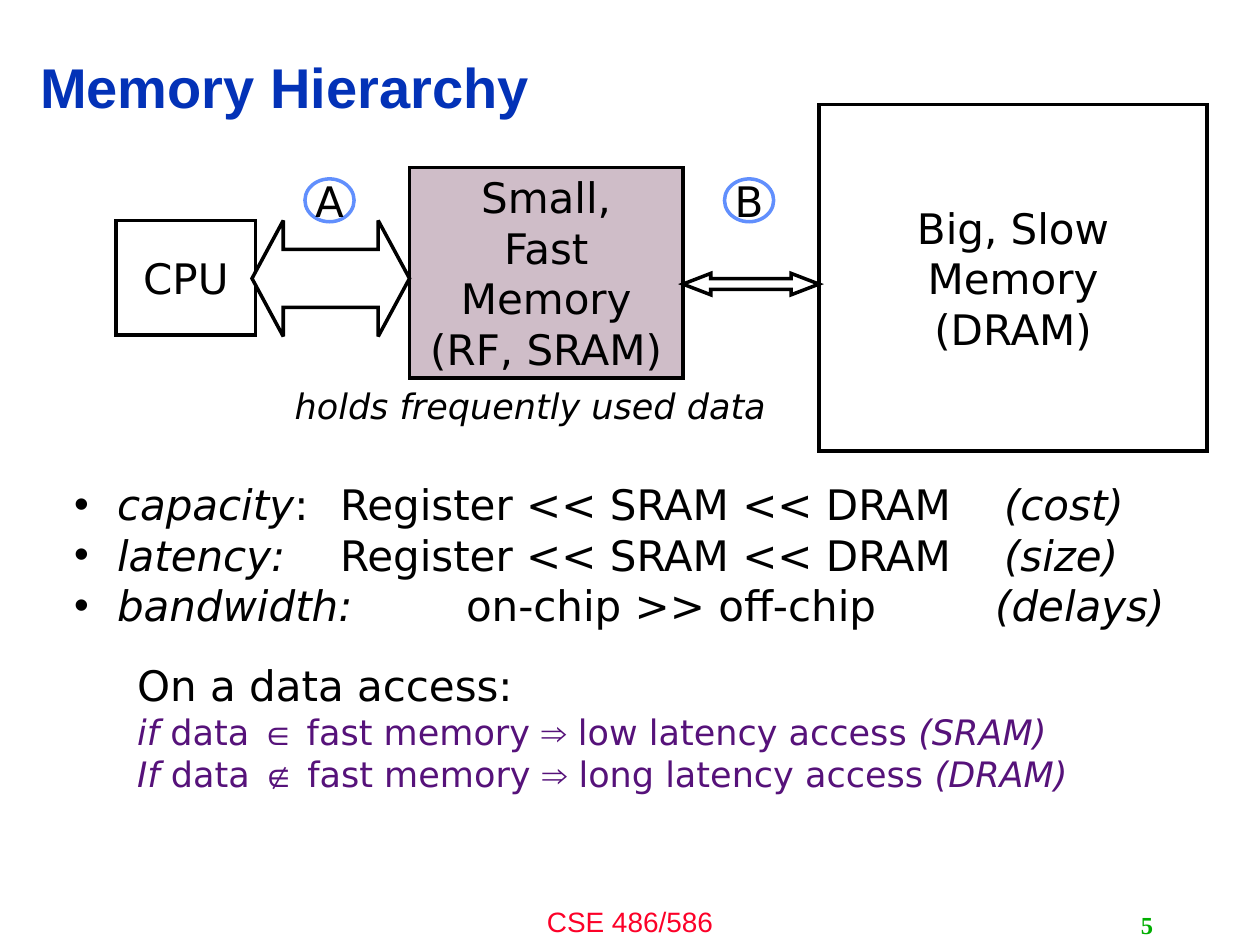
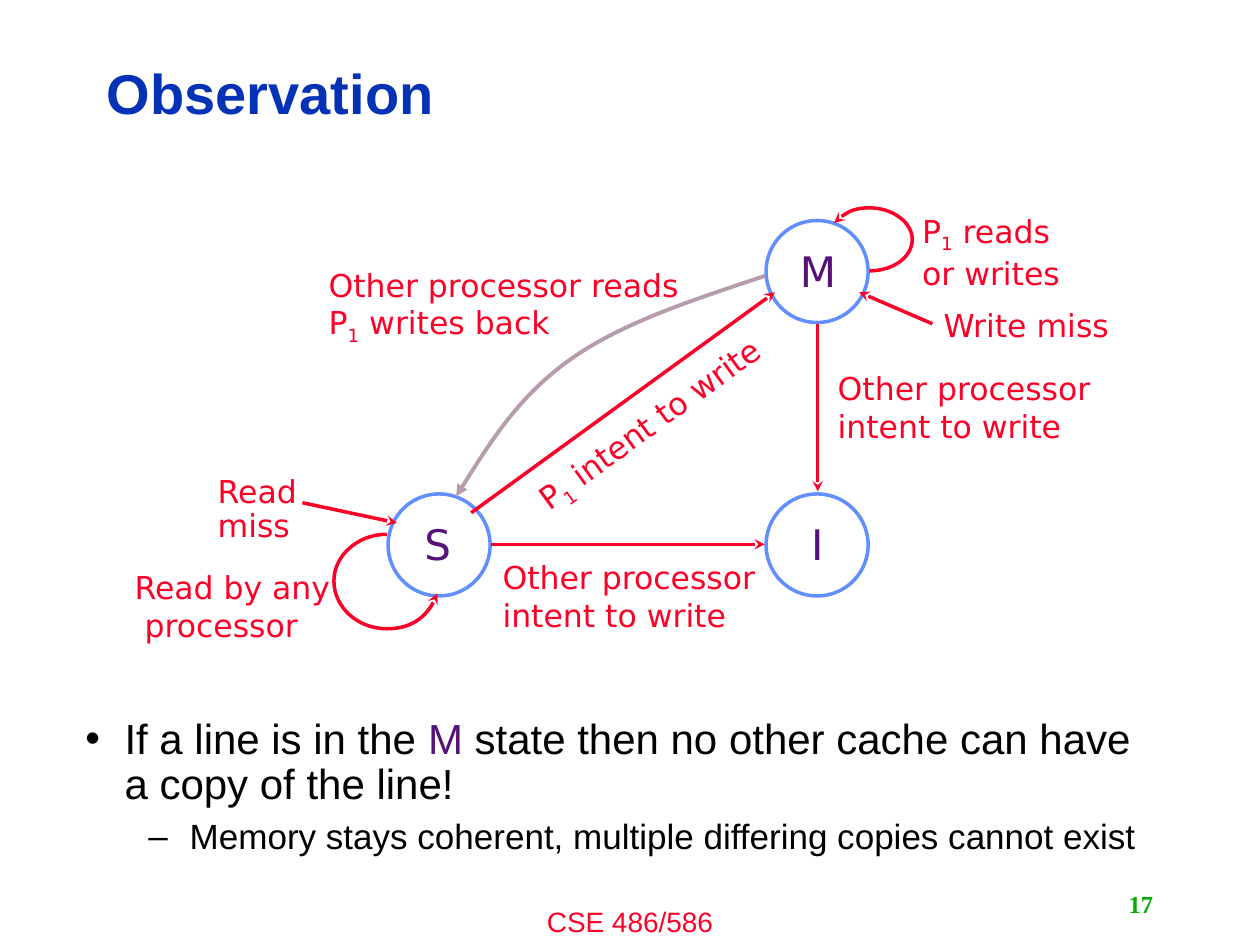
from lxml import etree
from pptx import Presentation
from pptx.dml import color
from pptx.enum import shapes, text
from pptx.oxml import ns
from pptx.util import Inches, Pt

BLACK, WHITE, RED, BLUE = "000000", "FFFFFF", "FC0128", "0332B7"
PURPLE, MAUVE, SKY, GREEN = "56127A", "B69CAC", "618FFD", "00AE00"
SANS, ARIAL, TIMES = "DejaVu Sans", "Arial", "Times New Roman"
LEFT, MID, RIGHT = text.PP_ALIGN.LEFT, text.PP_ALIGN.CENTER, text.PP_ALIGN.RIGHT
KIND = shapes.MSO_SHAPE
ITAL, ROMAN, SUB = {"italic": True}, {"font": ARIAL}, {"base": -25}


def rgb(code):
    return color.RGBColor.from_string(code)


def node(parent, tag, **attrs):
    return etree.SubElement(parent, ns.qn(tag), **attrs)


def write(frame, runs, size=24, font=SANS, ink=BLACK, bold=False, italic=False,
          base=0, align=LEFT, lines=None, before=0, bullet=None, left=0, hang=0, tabs=()):
    """Add one paragraph, given as a string or a list of strings and (string, format) pairs."""
    first = frame.paragraphs[0]
    para = frame.add_paragraph() if first.runs else first
    para.alignment = align
    props = para._p.get_or_add_pPr()
    props.set("marL", str(Inches(left)))
    props.set("indent", str(Inches(hang)))
    if lines:
        para.line_spacing = lines
    if before:
        para.space_before = Pt(before)
    if bullet:
        node(props, "a:buFont", typeface=ARIAL)
        node(props, "a:buChar", char=bullet)
    if tabs:
        stops = node(props, "a:tabLst")
        for stop in tabs:
            node(stops, "a:tab", pos=str(Inches(stop)), algn="l")
    for item in [runs] if isinstance(runs, str) else runs:
        words, extra = (item, {}) if isinstance(item, str) else item
        look = {"size": size, "font": font, "ink": ink, "bold": bold,
                "italic": italic, "base": base, **extra}
        run = para.add_run()
        run.text = words
        run.font.size = Pt(look["size"])
        run.font.name = look["font"]
        run.font.bold = look["bold"]
        run.font.italic = look["italic"]
        run.font.color.rgb = rgb(look["ink"])
        if look["base"]:
            run._r.get_or_add_rPr().set("baseline", str(look["base"] * 1000))


class Deck:
    """Hold the shared style and the current slide."""

    def __init__(self):
        self.show = Presentation()
        self.show.slide_width, self.show.slide_height = Inches(10), Inches(7.5)

    def page(self, title, spot, number, top):
        self.slide = self.show.slides.add_slide(self.show.slide_layouts[6])
        self.label((3.33, 7.13, 3.34, 0.37), "CSE 486/586", wrap=True,
                   size=16, font=ARIAL, ink=RED, align=MID)
        self.label((7.17, top, 2.08, 0.32), number, wrap=True, middle=True,
                   size=14, font=TIMES, ink=GREEN, bold=True, align=RIGHT)
        self.label(spot, title, wrap=True, middle=True,
                   size=32, font=ARIAL, ink=BLUE, bold=True, lines=0.9)

    def label(self, spot, *paras, wrap=False, middle=False, turn=0, **look):
        box = self.slide.shapes.add_textbox(*map(Inches, spot))
        box.rotation = turn
        frame = box.text_frame
        frame.word_wrap = wrap
        if not wrap:
            frame.auto_size = text.MSO_AUTO_SIZE.SHAPE_TO_FIT_TEXT
        if middle:
            frame.vertical_anchor = text.MSO_ANCHOR.MIDDLE
        for para in paras:
            write(frame, para, **look)
        return frame

    def note(self, spot, *paras, **look):
        self.label(spot, *paras, size=18, ink=RED, **look)

    def block(self, kind, spot, *paras, fill=WHITE, edge=BLACK, wrap=True, adjust=()):
        shape = self.slide.shapes.add_shape(kind, *map(Inches, spot))
        shape.shadow.inherit = False
        shape.fill.solid()
        shape.fill.fore_color.rgb = rgb(fill)
        self.stroke(shape, edge)
        for i, value in enumerate(adjust):
            shape.adjustments[i] = value
        frame = shape.text_frame
        frame.word_wrap = wrap
        frame.vertical_anchor = text.MSO_ANCHOR.MIDDLE
        for para in paras:
            write(frame, para, align=MID)

    def stroke(self, shape, ink, width=2, **tips):
        shape.line.color.rgb = rgb(ink)
        shape.line.width = Pt(width)
        line = shape.line._get_or_add_ln()
        node(line, "a:miter", lim="800000")
        for tag, tip in tips.items():
            node(line, f"a:{tag}End", type=tip)

    def arrow(self, *ends):
        line = self.slide.shapes.add_connector(
            shapes.MSO_CONNECTOR.STRAIGHT, *map(Inches, ends))
        self.stroke(line, RED, tail="stealth")
        node(line._element.spPr, "a:effectLst")

    def bend(self, *points, ink=RED, width=2, tip="stealth"):
        """Draw cubic arcs through a start and three points for each arc."""
        spots = [(Inches(x), Inches(y)) for x, y in points]
        pen = self.slide.shapes.build_freeform(*spots[0])
        pen.add_line_segments(spots[1:], close=False)
        shape = pen.convert_to_shape()
        route = next(shape._element.iter(ns.qn("a:path")))
        legs = route.findall(ns.qn("a:lnTo"))
        for i in range(0, len(legs), 3):
            arc = node(route, "a:cubicBezTo")
            for leg in legs[i:i + 3]:
                arc.append(leg[0])
                route.remove(leg)
        shape.shadow.inherit = False
        shape.fill.background()
        self.stroke(shape, ink, width, head=tip)


def memory(deck):
    deck.page("Memory Hierarchy", (0.22, 0.22, 7.83, 1), "5", 7.18)
    deck.block(KIND.RECTANGLE, (3.25, 1.33, 2.17, 1.67),
               "Small,", "Fast Memory", "(RF, SRAM)", fill="CFBDC8")
    frame = deck.label((0.49, 3.75, 9.19, 2.62), wrap=True)
    order = "Register << SRAM << DRAM"
    for term, colon, rule, why, tabs in (
            ("capacity", ":", order, "(cost)", (0.34, 2.11, 7.38)),
            ("latency:", "", order, "(size)", (0.34, 2.11, 7.38)),
            ("bandwidth:", "", "on-chip >> off-chip", "(delays)", (0.34, 3.11, 7.31))):
        write(frame, [(f"\t{term}", ITAL), f"{colon}\t{rule}\t", (why, ITAL)],
              bullet="•", tabs=tabs)
    write(frame, "On a data access:", before=17, left=0.5)
    for word, sign, speed, kind in (("if", "∈", "low", "SRAM"), ("If", "∉", "long", "DRAM")):
        write(frame, [(f"{word} ", ITAL), "data ", (sign, ROMAN), " fast memory ",
                      ("⇒", ROMAN), f" {speed} latency access ", (f"({kind})", ITAL)],
              size=20, ink=PURPLE, left=0.5)

    deck.block(KIND.RECTANGLE, (0.92, 1.75, 1.11, 0.91), "CPU", wrap=False)
    deck.block(KIND.RECTANGLE, (6.5, 0.83, 3.08, 2.75), "Big, Slow Memory", "(DRAM)")
    for x, name in ((2.42, "A"), (5.75, "B")):
        deck.block(KIND.OVAL, (x, 1.42, 0.39, 0.34), name, edge=SKY, wrap=False)
    deck.label((1.92, 3, 4.58, 0.43), "holds frequently used data",
               wrap=True, size=20, italic=True, align=MID)
    for spot, head in (((5.42, 2.17, 1.08, 0.17), 1.3), ((2, 1.75, 1.25, 0.92), 0.27)):
        deck.block(KIND.LEFT_RIGHT_ARROW, spot, adjust=(0.5, head))


def states(deck):
    deck.page("Observation", (0.75, 0.36, 7.98, 0.81), "17", 7.01)
    frame = deck.label((0.58, 5.65, 8.75, 1.69), wrap=True)
    write(frame, ["If a line is in the ", ("M", {"ink": PURPLE}),
                  " state then no other cache can have a copy of the line!"],
          font=ARIAL, lines=0.9, bullet="•", left=0.31, hang=-0.31)
    write(frame, " Memory stays coherent, multiple differing copies cannot exist",
          size=20, font=ARIAL, lines=0.9, before=6, bullet="–", left=0.75, hang=-0.25)

    for x, y, name, inset, width in ((6.08, 1.75, "M", 0.17, 0.48),
                                     (3.08, 3.92, "S", 0.19, 0.43),
                                     (6.08, 3.92, "I", 0.26, 0.34)):
        deck.block(KIND.OVAL, (x, y, 0.81, 0.81), edge=SKY)
        deck.label((x + inset, y + 0.15, width, 0.5), name, ink=PURPLE)
    for ends in ((7.4, 2.57, 6.82, 2.32), (6.49, 2.57, 6.49, 3.9), (2.4, 3.99, 3.15, 4.15),
                 (3.74, 4.07, 6.15, 2.32), (3.9, 4.32, 6.07, 4.32)):
        deck.arrow(*ends)
    deck.bend((3.47, 4.71), (3.42, 4.87), (3.26, 4.99), (3.07, 4.99),
              (2.84, 4.99), (2.65, 4.82), (2.65, 4.61),
              (2.65, 4.41), (2.84, 4.24), (3.07, 4.24))
    deck.bend((6.62, 1.77), (6.68, 1.7), (6.79, 1.65), (6.9, 1.65),
              (7.09, 1.65), (7.24, 1.77), (7.24, 1.9),
              (7.24, 2.04), (7.09, 2.15), (6.9, 2.15))
    deck.bend((3.62, 3.94), (3.87, 3.54), (4.12, 3.14), (4.53, 2.85),
              (4.94, 2.56), (5.5, 2.38), (6.07, 2.19),
              ink=MAUVE, width=2.25, tip="triangle")

    first = ["P", ("1", SUB)]
    deck.note((7.39, 2.38, 1.53, 0.4), "Write miss")
    for x, y in ((6.55, 2.88), (3.89, 4.38)):
        deck.note((x, y, 2.21, 0.7), "Other processor", "intent to write")
    deck.note((1.55, 3.73, 0.92, 0.64), " Read", " miss", lines=0.9)
    deck.note((4, 3.15, 2.33, 0.4), first + [" intent to write"], turn=324)
    deck.note((0.97, 4.46, 1.77, 0.7), "Read by any", " processor")
    deck.note((7.22, 1.63, 1.31, 0.7), first + [" reads"], "or writes")
    deck.note((2.51, 2.06, 2.99, 0.7), "Other processor reads", first + [" writes back"])


def main():
    deck = Deck()
    memory(deck)
    states(deck)
    deck.show.save("out.pptx")


if __name__ == "__main__":
    main()
